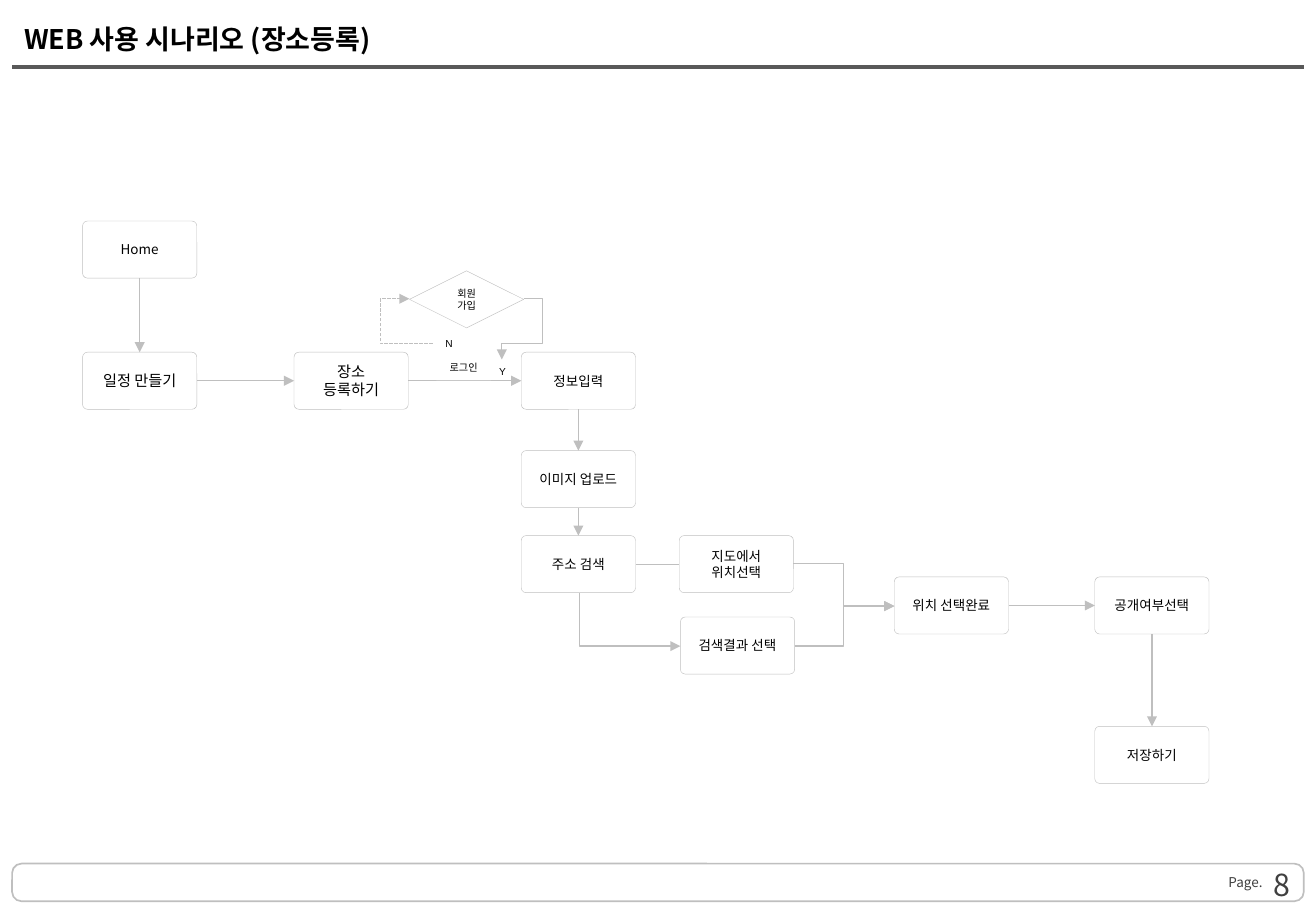
from pptx import Presentation
from pptx.dml.color import RGBColor
from pptx.enum.dml import MSO_LINE
from pptx.enum.shapes import MSO_CONNECTOR, MSO_SHAPE
from pptx.enum.text import MSO_ANCHOR, PP_ALIGN
from pptx.oxml.ns import qn
from pptx.util import Inches, Pt
from lxml.etree import SubElement

COLORS = {"white": "FFFFFF", "black": "000000", "text": "404040",
          "rule": "595959", "line": "BFBFBF"}
KOREAN, LATIN = "Noto Sans CJK KR", "Arial"
BOX_W, BOX_H = 0.94, 0.47
TOP, LEFT, BOTTOM, RIGHT = range(4)

# name: (text, left, top, text size)
STEPS = {
    "home": ("Home", 0.68, 1.82, 8),
    "plan": ("일정 만들기", 0.68, 2.9, 9),
    "place": ("장소\n등록하기", 2.42, 2.9, 9),
    "info": ("정보입력", 4.29, 2.9, 8),
    "image": ("이미지 업로드", 4.29, 3.71, 8),
    "address": ("주소 검색", 4.29, 4.41, 8),
    "map": ("지도에서\n위치선택", 5.59, 4.41, 8),
    "result": ("검색결과 선택", 5.6, 5.08, 8),
    "located": ("위치 선택완료", 7.36, 4.75, 8),
    "public": ("공개여부선택", 9.01, 4.75, 8),
    "save": ("저장하기", 9.01, 5.98, 8),
}
# from, side, to, side, arrowhead
LINKS = [
    ("home", BOTTOM, "plan", TOP, "tailEnd"),
    ("plan", RIGHT, "place", LEFT, "tailEnd"),
    ("place", RIGHT, "info", LEFT, "tailEnd"),
    ("info", BOTTOM, "image", TOP, "tailEnd"),
    ("image", BOTTOM, "address", TOP, "tailEnd"),
    ("address", RIGHT, "map", LEFT, None),
    ("located", RIGHT, "public", LEFT, "tailEnd"),
    ("public", BOTTOM, "save", TOP, "tailEnd"),
]
# start, end, preset, adjustments, arrowhead, dashed
ELBOWS = [
    ((3.56, 2.83), (3.37, 2.46), "bentConnector3", [2.27], "tailEnd", True),
    ((4.31, 2.46), (4.13, 2.96), "bentConnector4", [-0.86, 0.74], "tailEnd", False),
    ((5.6, 5.32), (4.77, 4.88), "bentConnector2", [], "headEnd", False),
    ((6.54, 5.32), (7.36, 4.99), "bentConnector3", [0.49], "tailEnd", False),
    ((6.53, 4.64), (7.36, 4.99), "bentConnector3", [0.5], "tailEnd", False),
]
# text, left, top, width, height, fill
LABELS = [
    ("N", 3.56, 2.73, 0.27, 0.2, None),
    ("Y", 4.01, 2.96, 0.25, 0.2, None),
    ("로그인", 3.59, 2.93, 0.45, 0.2, "white"),
]


def rgb(name):
    return RGBColor.from_string(COLORS[name])


def write(sp, text, size, color="black", font=KOREAN, align=PP_ALIGN.CENTER,
          anchor=MSO_ANCHOR.MIDDLE, wrap=True, bold=False):
    tf = sp.text_frame
    tf.text = text
    tf.word_wrap = wrap
    tf.vertical_anchor = anchor
    for p in tf.paragraphs:
        p.alignment = align
        for r in p.runs:
            r.font.size, r.font.bold, r.font.name = Pt(size), bold, font
            r.font.color.rgb = rgb(color)
            SubElement(r.font._element, qn("a:ea")).set("typeface", font)


def add_box(s, kind, left, top, width, height, weight=0.25):
    sp = s.shapes.add_shape(kind, Inches(left), Inches(top), Inches(width), Inches(height))
    sp.shadow.inherit = False
    sp.fill.solid()
    sp.fill.fore_color.rgb = rgb("white")
    sp.line.color.rgb = rgb("line")
    sp.line.width = Pt(weight)
    return sp


def add_line(s, start=(0, 0), end=(0, 0), kind=MSO_CONNECTOR.STRAIGHT,
             color="line", weight=0.75, arrow=None, dashed=False):
    c = s.shapes.add_connector(kind, *(Inches(v) for v in (*start, *end)))
    c.line.color.rgb = rgb(color)
    c.line.width = Pt(weight)
    if dashed:
        c.line.dash_style = MSO_LINE.SQUARE_DOT
    if arrow:
        SubElement(c.line._get_or_add_ln(), qn("a:" + arrow)).set("type", "triangle")
    SubElement(c._element.spPr, qn("a:effectLst"))
    return c


def add_elbow(s, start, end, preset, adjustments, arrow, dashed):
    c = add_line(s, start, end, MSO_CONNECTOR.ELBOW, arrow=arrow, dashed=dashed)
    geom = c._element.spPr.find(qn("a:prstGeom"))
    geom.set("prst", preset)
    guides = geom.find(qn("a:avLst"))
    for i, value in enumerate(adjustments, 1):
        guide = SubElement(guides, qn("a:gd"))
        guide.set("name", f"adj{i}")
        guide.set("fmla", f"val {round(value * 100000)}")


def add_label(s, text, left, top, width, height, fill):
    sp = s.shapes.add_textbox(Inches(left), Inches(top), Inches(width), Inches(height))
    if fill:
        sp.fill.solid()
        sp.fill.fore_color.rgb = rgb(fill)
    write(sp, text, 6, font=LATIN, anchor=MSO_ANCHOR.TOP, wrap=False)


def add_header(s, left, top, width, height):
    title = s.shapes.title
    title.left, title.top = Inches(left), Inches(top)
    title.width, title.height = Inches(width), Inches(height)
    write(title, "WEB 사용 시나리오 (장소등록)", 16, align=PP_ALIGN.LEFT, wrap=False, bold=True)
    bottom = top + height
    add_line(s, (left, bottom), (left + width, bottom), color="rule", weight=2.25)


def add_footer(s, left, top, width, height):
    frame = add_box(s, MSO_SHAPE.ROUNDED_RECTANGLE, left, top, width, height, 1)
    frame.adjustments[0] = 0.25
    right = left + width
    page = s.shapes.add_textbox(Inches(right - 0.62), Inches(top + 0.09), Inches(0.46), Inches(0.13))
    tf = page.text_frame
    tf.margin_left = tf.margin_right = tf.margin_top = tf.margin_bottom = 0
    write(page, "Page.", 8, "text", align=PP_ALIGN.LEFT)
    number = s.shapes.add_textbox(Inches(right - 2.54), Inches(top + 0.09), Inches(2.53), Inches(0.16))
    write(number, "8", 18, "text", align=PP_ALIGN.RIGHT)


def add_flow(s):
    # Steps and decision
    boxes = {}
    for name, (text, left, top, size) in STEPS.items():
        sp = boxes[name] = add_box(s, MSO_SHAPE.ROUNDED_RECTANGLE, left, top, BOX_W, BOX_H)
        sp.adjustments[0] = 0.085
        write(sp, text, size)
    signup = add_box(s, MSO_SHAPE.FLOWCHART_DECISION, 3.37, 2.23, BOX_W, BOX_H)
    write(signup, "회원\n가입", 6)

    # Arrows between steps
    for source, out_side, target, in_side, arrow in LINKS:
        c = add_line(s, arrow=arrow)
        c.begin_connect(boxes[source], out_side)
        c.end_connect(boxes[target], in_side)
    for elbow in ELBOWS:
        add_elbow(s, *elbow)

    # Branch labels
    for label in LABELS:
        add_label(s, *label)


def main():
    prs = Presentation()
    prs.slide_width, prs.slide_height = Inches(10.83), Inches(7.5)
    s = prs.slides.add_slide(prs.slide_layouts[5])
    add_footer(s, 0.1, 7.11, 10.63, 0.31)
    add_header(s, 0.1, 0.08, 10.63, 0.47)
    add_flow(s)
    prs.save("out.pptx")


if __name__ == "__main__":
    main()
